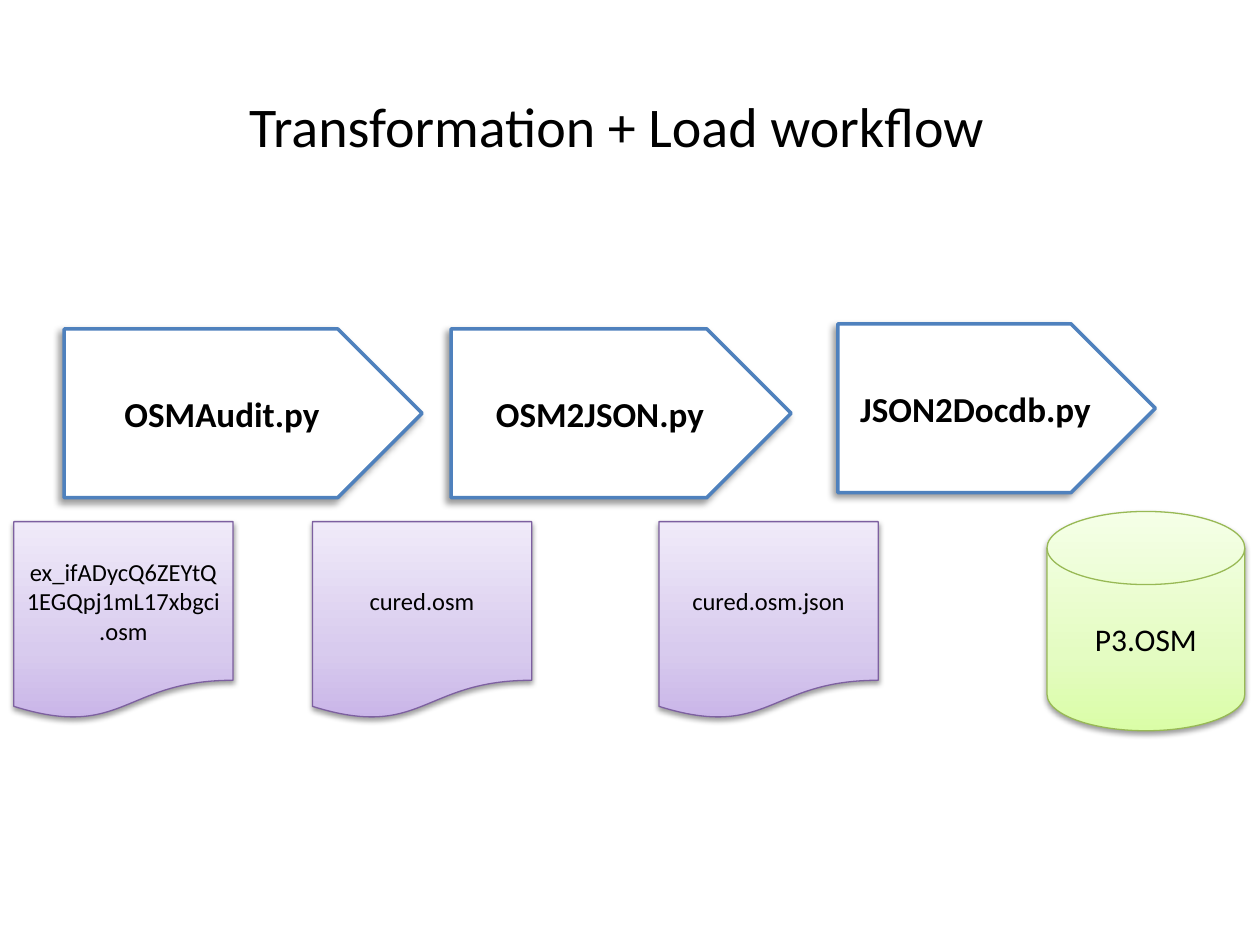
import pptx
import pptx.util
import pptx.dml.color
import pptx.enum.shapes
import pptx.enum.text
import pptx.oxml
import pptx.oxml.ns
from lxml import etree

W, H = 10, 7.5
SHAPE = pptx.enum.shapes.MSO_SHAPE
COLORS = {"text": "000000", "white": "FFFFFF", "blue": "4F81BD",
          "purple": "7D60A0", "green": "98B955"}
GRADIENTS = {"purple": ("C9B5E8", "D8CBEE", "F0EAF9"),
             "green": ("DAFDA7", "E4FCC2", "F5FFE7")}
STOPS = (0, 35, 100)
SOFT = (38, 3.1, 1.6, 90)
SIDE = (40, 4, 3, 135)


def rgb(name):
    """Return the palette colour of that name."""
    return pptx.dml.color.RGBColor.from_string(COLORS[name])


def place(box, x, y, w, h):
    """Turn shares of a box into lengths on the slide."""
    bx, by, bw, bh = box
    return [pptx.util.Inches(v) for v in (bx + x * bw, by + y * bh, w * bw, h * bh)]


def write(tf, text, size, bold=False):
    """Fill a text frame with one formatted paragraph."""
    tf.text = text
    font = tf.paragraphs[0].runs[0].font
    font.name, font.size, font.bold = "Calibri", pptx.util.Pt(size), bold
    font.color.rgb = rgb("text")


def add_color(parent, value):
    """Append an RGB colour element."""
    return etree.SubElement(parent, pptx.oxml.ns.qn("a:srgbClr"), val=value)


def shade(sp, name):
    """Fill a shape with a three-stop gradient, darkest at the bottom."""
    sp.fill.gradient()
    sp.fill.gradient_angle = 90
    stops = sp._element.spPr.find(".//" + pptx.oxml.ns.qn("a:gsLst"))
    for old in list(stops):
        stops.remove(old)
    for pos, value in zip(STOPS, GRADIENTS[name]):
        gs = etree.SubElement(stops, pptx.oxml.ns.qn("a:gs"), pos=str(pos * 1000))
        add_color(gs, value)


def cast(sp, alpha, blur, dist, angle):
    """Give a shape an outer shadow."""
    sp.shadow.inherit = False
    effects = sp._element.spPr.find(pptx.oxml.ns.qn("a:effectLst"))
    shadow = etree.SubElement(
        effects, pptx.oxml.ns.qn("a:outerShdw"), blurRad=str(pptx.util.Pt(blur)),
        dist=str(pptx.util.Pt(dist)), dir=str(angle * 60000), rotWithShape="0")
    color = add_color(shadow, COLORS["text"])
    etree.SubElement(color, pptx.oxml.ns.qn("a:alpha"), val=str(alpha * 1000))


def block(s, kind, at, text, size, line, width, shadow, bold=False):
    """Draw one labelled shape."""
    sp = s.shapes.add_shape(kind, *at)
    if line in GRADIENTS:
        shade(sp, line)
    else:
        sp.fill.solid()
        sp.fill.fore_color.rgb = rgb("white")
    sp.line.color.rgb = rgb(line)
    sp.line.width = pptx.util.Pt(width)
    cast(sp, *shadow)
    tf = sp.text_frame
    tf.word_wrap = True
    tf.vertical_anchor = pptx.enum.text.MSO_ANCHOR.MIDDLE
    write(tf, text, size, bold)
    tf.paragraphs[0].alignment = pptx.enum.text.PP_ALIGN.CENTER


def title(s, box, text):
    """Write the slide title."""
    tf = s.shapes.add_textbox(*place(box, 0, 0, 1, 1)).text_frame
    tf.word_wrap = False
    tf.auto_size = pptx.enum.text.MSO_AUTO_SIZE.SHAPE_TO_FIT_TEXT
    write(tf, text, 32)


def scripts(s, box, steps):
    """Draw the row of processing steps."""
    for x, y, w, text in steps:
        block(s, SHAPE.PENTAGON, place(box, x / W, y, w / W, 1), text, 20,
              "blue", 2, SIDE, True)


def files(s, box, documents):
    """Draw the row of files passed between steps."""
    for x, text in documents:
        block(s, SHAPE.FLOWCHART_DOCUMENT, place(box, x / W, 0, 1.74 / W, 1), text, 14,
              "purple", 0.75, SOFT)


def database(s, box, text):
    """Draw the target database."""
    block(s, SHAPE.FLOWCHART_MAGNETIC_DISK, place(box, 0, 0, 1, 1), text, 18,
          "green", 0.75, SOFT)


prs = pptx.Presentation()
prs.slide_width, prs.slide_height = pptx.util.Inches(W), pptx.util.Inches(H)
s = prs.slides.add_slide(prs.slide_layouts[6])
files(s, (0, 4.14, W, 1.57), [
    (0.11, "ex_ifADycQ6ZEYtQ1EGQpj1mL17xbgci.osm"),
    (2.48, "cured.osm"),
    (5.23, "cured.osm.json")])
scripts(s, (0, 2.57, W, 1.34), [
    (0.51, 0.03, 2.84, "OSMAudit.py"),
    (3.58, 0.03, 2.7, "OSM2JSON.py"),
    (6.65, 0, 2.52, "JSON2Docdb.py")])
database(s, (8.31, 4.06, 1.57, 1.74), "P3.OSM")
title(s, (1.88, 0.68, 6.1, 0.64), "Transformation + Load workflow")
prs.save("out.pptx")
